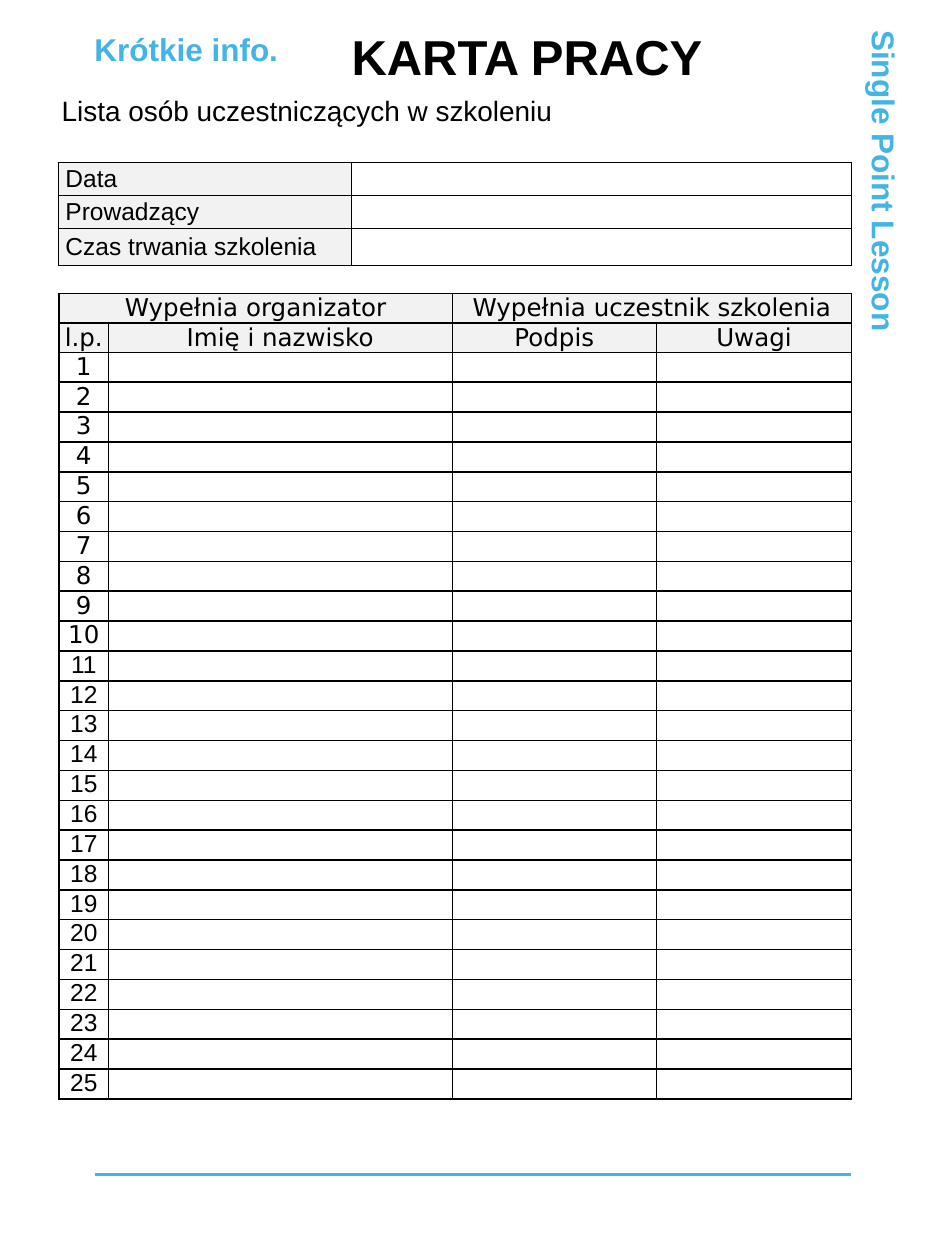
import dataclasses
import typing

import lxml.etree
import pptx
import pptx.dml.color
import pptx.enum.shapes
import pptx.enum.text
import pptx.oxml.ns
import pptx.util

Inches = pptx.util.Inches
Pt = pptx.util.Pt
Align = pptx.enum.text.PP_ALIGN
Anchor = pptx.enum.text.MSO_ANCHOR
qn = pptx.oxml.ns.qn

COLORS = {"accent": "42B4E6", "text": "000000", "header": "F2F2F2", "border": "000000"}
PARTICIPANTS = 25
ROW_HEIGHT = 6.3 / (PARTICIPANTS + 2)


@dataclasses.dataclass
class Label:
    text: str
    left: float
    top: float
    width: float
    height: float
    size: float
    color: str = "text"
    bold: bool = False
    rotation: float = 0


@dataclasses.dataclass
class Grid:
    left: float
    top: float
    columns: list[float]
    rows: list[float]
    border: float
    margin: float


LABELS = [
    Label("Krótkie info.", 0.75, 0.24, 2.76, 0.3, 18, "accent", True),
    Label("Single Point Lesson", 4.11, 3, 5.82, 0.3, 18, "accent", True, 90),
    Label("Lista osób uczestniczących w szkoleniu", 0.49, 0.74, 6.1, 0.37, 16),
]
TITLE = Label("KARTA PRACY", 2.79, 0.21, 3.95, 0.45, 28, bold=True)

DETAILS = Grid(0.46, 1.29, [2.33, 3.97], [0.26, 0.26, 0.3], 0.5, 0.06)
DETAIL_NAMES = ["Data", "Prowadzący", "Czas trwania szkolenia"]

ATTENDANCE = Grid(0.47, 2.33, [0.39, 2.73, 1.62, 1.55],
                  [ROW_HEIGHT] * (PARTICIPANTS + 2), 1, 0.04)
GROUP_NAMES = ["Wypełnia organizator", "Wypełnia uczestnik szkolenia"]
COLUMN_NAMES = ["l.p.", "Imię i nazwisko", "Podpis", "Uwagi"]


def rgb(name: str) -> pptx.dml.color.RGBColor:
    return pptx.dml.color.RGBColor.from_string(COLORS[name])


def format_runs(paragraph: typing.Any, size: float, color: str = "text",
                bold: bool = False, font: str = "Arial") -> None:
    for run in paragraph.runs:
        run.font.name = font
        run.font.size = Pt(size)
        run.font.bold = bold
        run.font.color.rgb = rgb(color)


def fill_label(shape: typing.Any, label: Label) -> None:
    shape.left, shape.top = Inches(label.left), Inches(label.top)
    shape.width, shape.height = Inches(label.width), Inches(label.height)
    shape.rotation = label.rotation
    frame = shape.text_frame
    frame.text = label.text
    frame.word_wrap = True
    frame.auto_size = pptx.enum.text.MSO_AUTO_SIZE.NONE
    frame.vertical_anchor = Anchor.TOP
    frame.margin_left = frame.margin_right = frame.margin_top = frame.margin_bottom = 0
    paragraph = frame.paragraphs[0]
    paragraph.alignment = Align.LEFT
    format_runs(paragraph, label.size, label.color, label.bold)


def add_rule(slide: typing.Any) -> None:
    rule = slide.shapes.add_connector(pptx.enum.shapes.MSO_CONNECTOR.STRAIGHT,
                                      Inches(0.75), Inches(9.32), Inches(6.75), Inches(9.32))
    rule.line.color.rgb = rgb("accent")
    rule.line.width = Pt(1.5)
    lxml.etree.SubElement(rule._element.spPr, qn("a:effectLst"))


def set_borders(cell: typing.Any, width: float) -> None:
    properties = cell._tc.get_or_add_tcPr()
    for side in ("a:lnL", "a:lnR", "a:lnT", "a:lnB"):
        line = lxml.etree.SubElement(properties, qn(side), w=str(Pt(width)))
        solid = lxml.etree.SubElement(line, qn("a:solidFill"))
        lxml.etree.SubElement(solid, qn("a:srgbClr"), val=COLORS["border"])


def add_grid(slide: typing.Any, grid: Grid) -> typing.Any:
    """Add an empty ruled table whose blank cells keep the 14 pt row height."""
    table = slide.shapes.add_table(
        len(grid.rows), len(grid.columns), Inches(grid.left), Inches(grid.top),
        Inches(sum(grid.columns)), Inches(sum(grid.rows))).table
    table.first_row = table.horz_banding = False
    for column, width in zip(table.columns, grid.columns):
        column.width = Inches(width)
    for row, height in zip(table.rows, grid.rows):
        row.height = Inches(height)
    for cell in table.iter_cells():
        cell.margin_left = cell.margin_right = Inches(grid.margin)
        cell.margin_top = cell.margin_bottom = 0
        set_borders(cell, grid.border)
        cell.fill.background()
        lxml.etree.SubElement(cell.text_frame.paragraphs[0]._p, qn("a:endParaRPr"), sz="1400")
    return table


def write_cell(cell: typing.Any, text: str, font: str, alignment: typing.Any,
               header: bool) -> None:
    cell.text_frame.text = text
    paragraph = cell.text_frame.paragraphs[0]
    paragraph.alignment = alignment
    format_runs(paragraph, 14, font=font)
    if header:
        cell.vertical_anchor = Anchor.MIDDLE
        cell.fill.solid()
        cell.fill.fore_color.rgb = rgb("header")


def add_attendance(slide: typing.Any) -> None:
    table = add_grid(slide, ATTENDANCE)
    for index, name in enumerate(GROUP_NAMES):
        cell = table.cell(0, 2 * index)
        cell.merge(table.cell(0, 2 * index + 1))
        write_cell(cell, name, "DejaVu Sans", Align.CENTER, True)
    for column, name in enumerate(COLUMN_NAMES):
        write_cell(table.cell(1, column), name, "DejaVu Sans", Align.CENTER, True)
    for number in range(1, PARTICIPANTS + 1):
        font = "DejaVu Sans" if number <= 10 else "Arial"
        write_cell(table.cell(number + 1, 0), str(number), font, Align.CENTER, False)


def add_details(slide: typing.Any) -> None:
    table = add_grid(slide, DETAILS)
    for row, name in enumerate(DETAIL_NAMES):
        write_cell(table.cell(row, 0), name, "Arial", Align.LEFT, True)


def main() -> None:
    presentation = pptx.Presentation()
    presentation.slide_width = Inches(7.5)
    presentation.slide_height = Inches(10)
    slide = presentation.slides.add_slide(presentation.slide_layouts[5])
    fill_label(slide.shapes.title, TITLE)
    for label in LABELS:
        fill_label(slide.shapes.add_textbox(0, 0, 0, 0), label)
    add_rule(slide)
    add_attendance(slide)
    add_details(slide)
    presentation.save("out.pptx")


if __name__ == "__main__":
    main()
